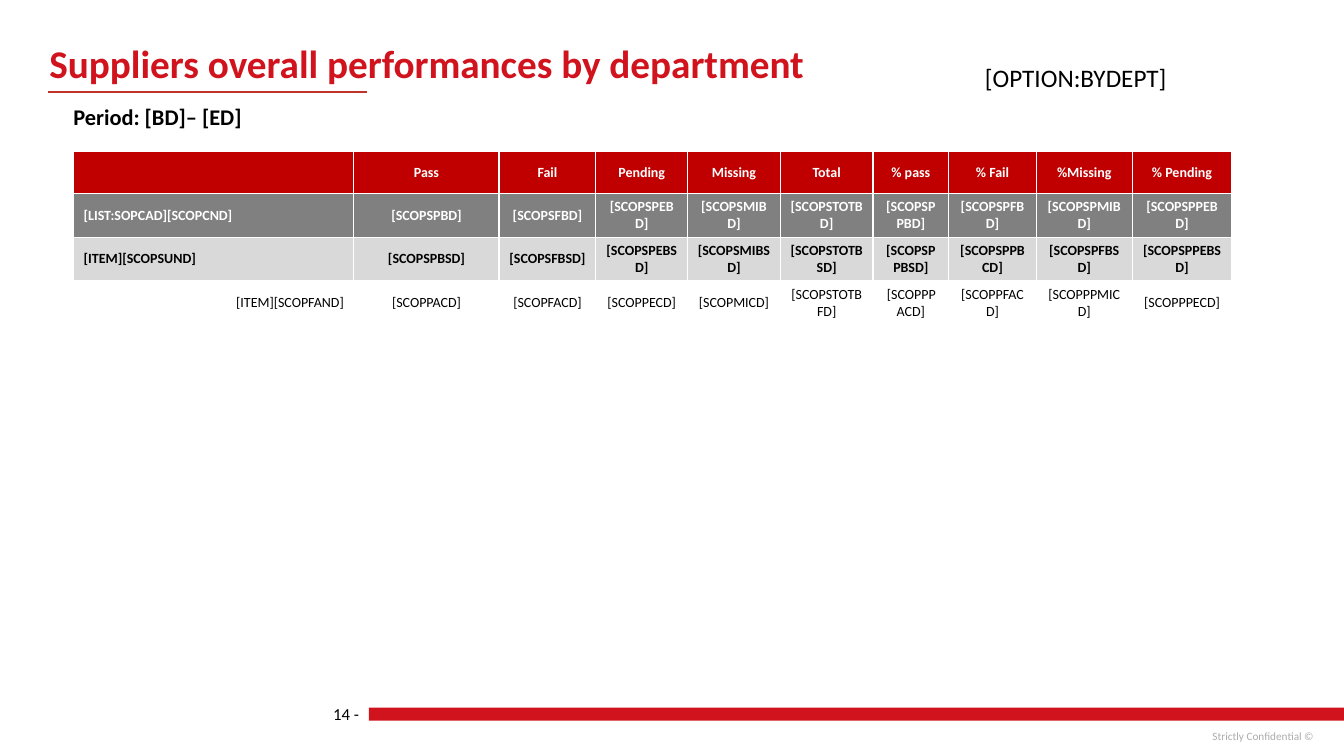
from pptx import Presentation, util as u
from pptx.dml import color
from pptx.enum import shapes, text
from pptx.oxml import parse_xml, ns

LEFT, MID, RIGHT = text.PP_ALIGN.LEFT, text.PP_ALIGN.CENTER, text.PP_ALIGN.RIGHT
RED, WHITE, BLACK = "D0131D", "FFFFFF", "000000"
WIDTHS = [2.78, 1.44, 0.96, 0.91, 0.92, 0.92, 0.75, 0.87, 0.95, 0.99]
ROWS = [
    (["", "Pass", "Fail", "Pending", "Missing", "Total",
      "% pass", "% Fail", "%Missing", "% Pending"],
     "C00000", WHITE, True, MID),
    (["[LIST:SOPCAD][SCOPCND]", "[SCOPSPBD]", "[SCOPSFBD]", "[SCOPSPEBD]",
      "[SCOPSMIBD]", "[SCOPSTOTBD]", "[SCOPSPPBD]", "[SCOPSPFBD]",
      "[SCOPSPMIBD]", "[SCOPSPPEBD]"],
     "808080", WHITE, True, LEFT),
    (["[ITEM][SCOPSUND]", "[SCOPSPBSD]", "[SCOPSFBSD]", "[SCOPSPEBSD]",
      "[SCOPSMIBSD]", "[SCOPSTOTBSD]", "[SCOPSPPBSD]", "[SCOPSPPBCD]",
      "[SCOPSPFBSD]", "[SCOPSPPEBSD]"],
     "D9D9D9", BLACK, True, LEFT),
    (["[ITEM][SCOPFAND]", "[SCOPPACD]", "[SCOPFACD]", "[SCOPPECD]",
      "[SCOPMICD]", "[SCOPSTOTBFD]", "[SCOPPPACD]", "[SCOPPFACD]",
      "[SCOPPPMICD]", "[SCOPPPECD]"],
     WHITE, BLACK, False, RIGHT),
]


def paint(target, tone):
    """Give a fill or a line a solid colour."""
    fill = getattr(target, "fill", target)
    fill.solid()
    fill.fore_color.rgb = color.RGBColor.from_string(tone)


def write(frame, words, size=10, tone=BLACK, bold=False, align=LEFT):
    """Put one formatted line of text in a frame."""
    par = frame.paragraphs[0]
    par.alignment = align
    run = par.add_run()
    run.text = words
    run.font.name = "Calibri"
    run.font.size = u.Pt(size)
    run.font.bold = bold
    run.font.color.rgb = color.RGBColor.from_string(tone)


def edge(cell, tone):
    """Draw thin borders round a table cell."""
    props = cell._tc.get_or_add_tcPr()
    for spot, side in enumerate(("lnL", "lnR", "lnT", "lnB")):
        props.insert(spot, parse_xml(
            f'<a:{side} {ns.nsdecls("a")} w="12700"><a:solidFill>'
            f'<a:srgbClr val="{tone}"/></a:solidFill></a:{side}>'))


class Page:
    """Hold the slide and draw each kind of element on it."""

    def __init__(self, deck):
        """Add a title-only slide."""
        self.slide = deck.slides.add_slide(deck.slide_layouts[5])
        self.items = self.slide.shapes

    def title(self, words, box):
        """Place and format the title."""
        head = self.items.title
        head.left, head.top, head.width, head.height = map(u.Inches, box)
        frame = head.text_frame
        frame.auto_size = text.MSO_AUTO_SIZE.NONE
        frame.vertical_anchor = text.MSO_ANCHOR.TOP
        write(frame, words, size=28, tone=RED, bold=True)
        frame.paragraphs[0].line_spacing = 0.9
        frame.paragraphs[0].space_before = u.Pt(10)

    def label(self, words, box, anchor=text.MSO_ANCHOR.TOP, wrap=True, **form):
        """Add a text box."""
        item = self.items.add_textbox(*map(u.Inches, box))
        item.text_frame.word_wrap = wrap
        item.text_frame.vertical_anchor = anchor
        write(item.text_frame, words, **form)
        return item

    def bar(self, box, tone):
        """Add a plain filled bar."""
        item = self.items.add_shape(shapes.MSO_SHAPE.RECTANGLE, *map(u.Inches, box))
        item.shadow.inherit = False
        paint(item, tone)
        item.line.fill.background()

    def rule(self, ends, tone, width):
        """Add a straight line."""
        item = self.items.add_connector(
            shapes.MSO_CONNECTOR.STRAIGHT, *map(u.Inches, ends))
        paint(item.line, tone)
        item.line.width = u.Pt(width)
        item._element.spPr.append(parse_xml(f'<a:effectLst {ns.nsdecls("a")}/>'))

    def table(self, left, top, high):
        """Add the table of results."""
        grid = self.items.add_table(
            len(ROWS), len(WIDTHS), u.Inches(left), u.Inches(top),
            u.Inches(sum(WIDTHS)), u.Inches(high * len(ROWS))).table
        for col, width in zip(grid.columns, WIDTHS):
            col.width = u.Inches(width)
        for row, (words, back, tone, bold, first) in zip(grid.rows, ROWS):
            row.height = u.Inches(high)
            for spot, (cell, word) in enumerate(zip(row.cells, words)):
                paint(cell, back)
                edge(cell, WHITE)
                cell.vertical_anchor = text.MSO_ANCHOR.MIDDLE
                if word:
                    write(cell.text_frame, word, tone=tone, bold=bold,
                          align=MID if spot else first)


def main():
    """Build and save the slide."""
    deck = Presentation()
    deck.slide_width, deck.slide_height = u.Inches(13.33), u.Inches(7.5)
    page = Page(deck)
    centre = text.MSO_ANCHOR.MIDDLE
    page.bar((3.66, 7.02, 9.67, 0.13), RED)
    page.label("Strictly Confidential ©", (11.17, 7.2, 1.96, 0.21),
               anchor=centre, size=8, tone="AFABAB", align=RIGHT)
    page.rule((0.48, 0.91, 3.64, 0.91), "C03329", 1.5)
    page.label("14 -", (3.08, 6.88, 0.58, 0.4), anchor=centre, size=12, align=RIGHT)
    page.title("Suppliers overall performances by department", (0.39, 0.39, 8.32, 0.48))
    page.table(0.73, 1.5, 0.42)
    page.label("Period: [BD]– [ED]", (0.63, 0.97, 4.17, 0.37), size=16, bold=True)
    note = page.label("[OPTION:BYDEPT]", (9.67, 0.57, 2.02, 0.4), wrap=False, size=18)
    paint(note, WHITE)
    deck.save("out.pptx")


if __name__ == "__main__":
    main()
